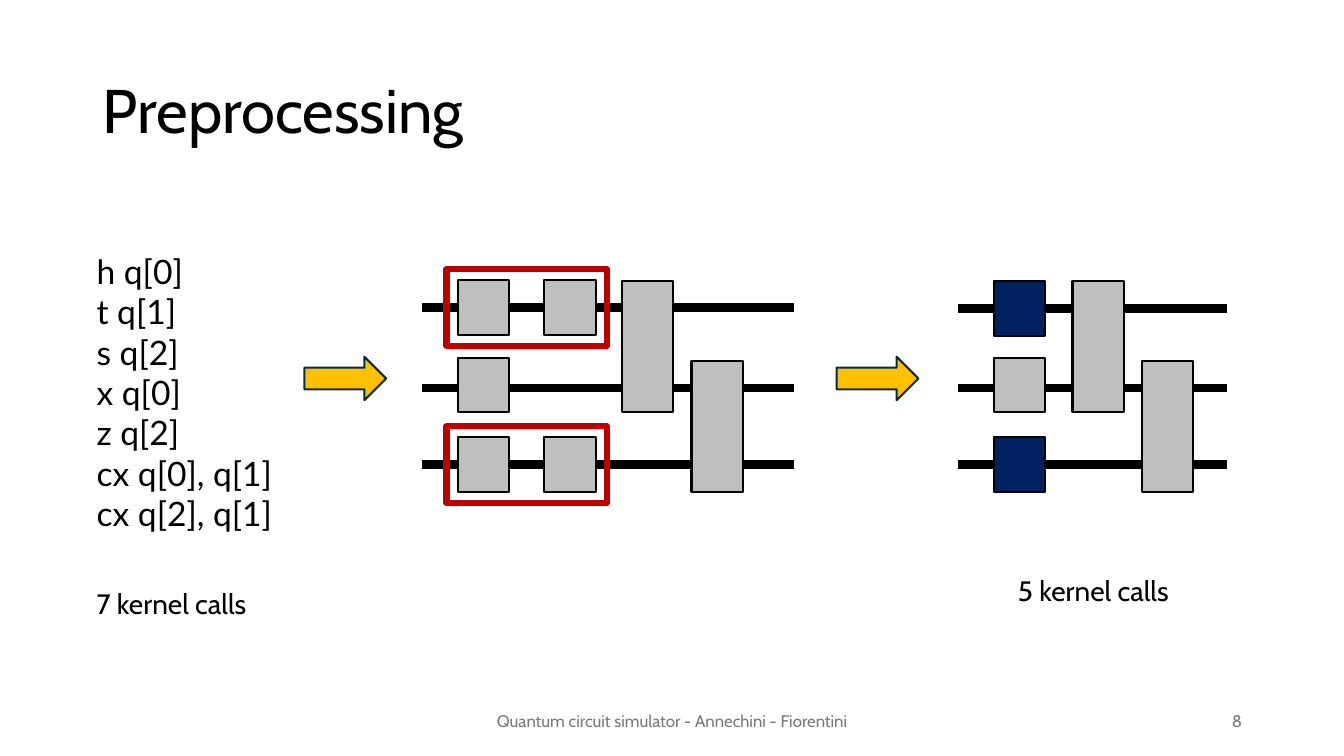
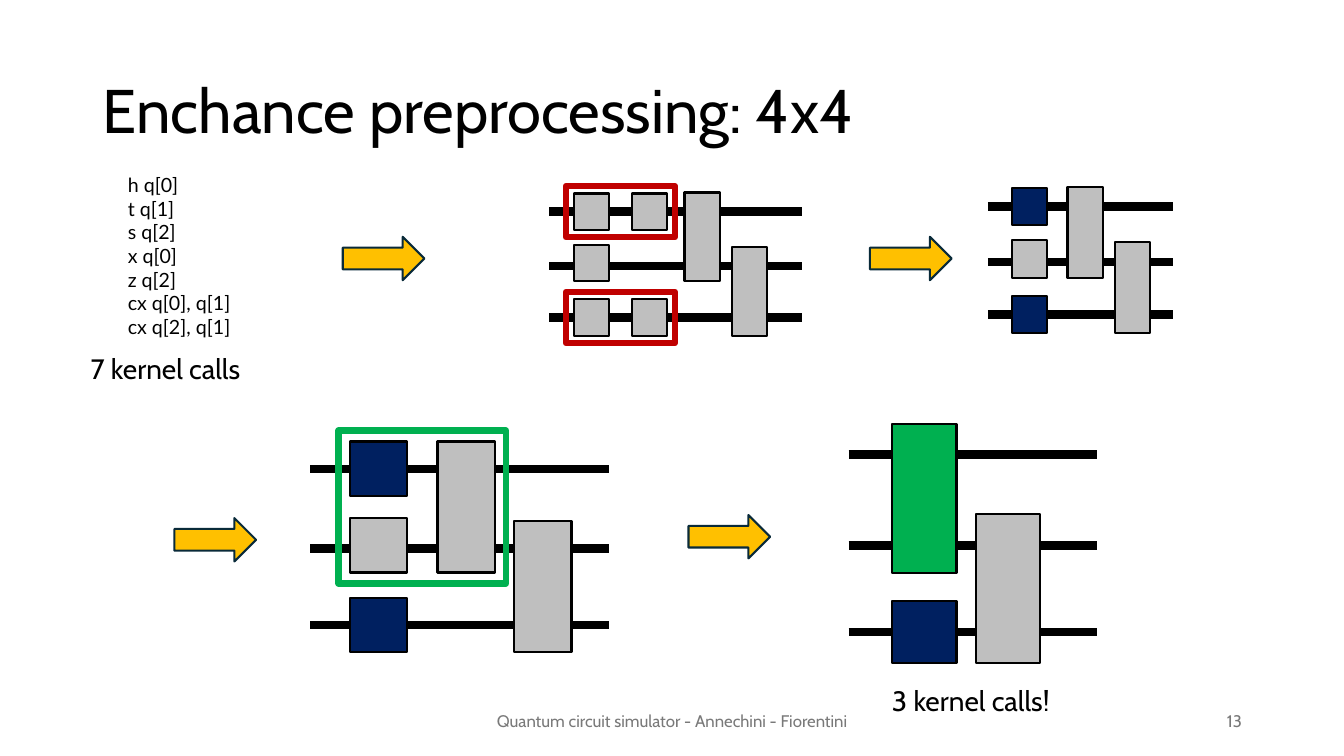
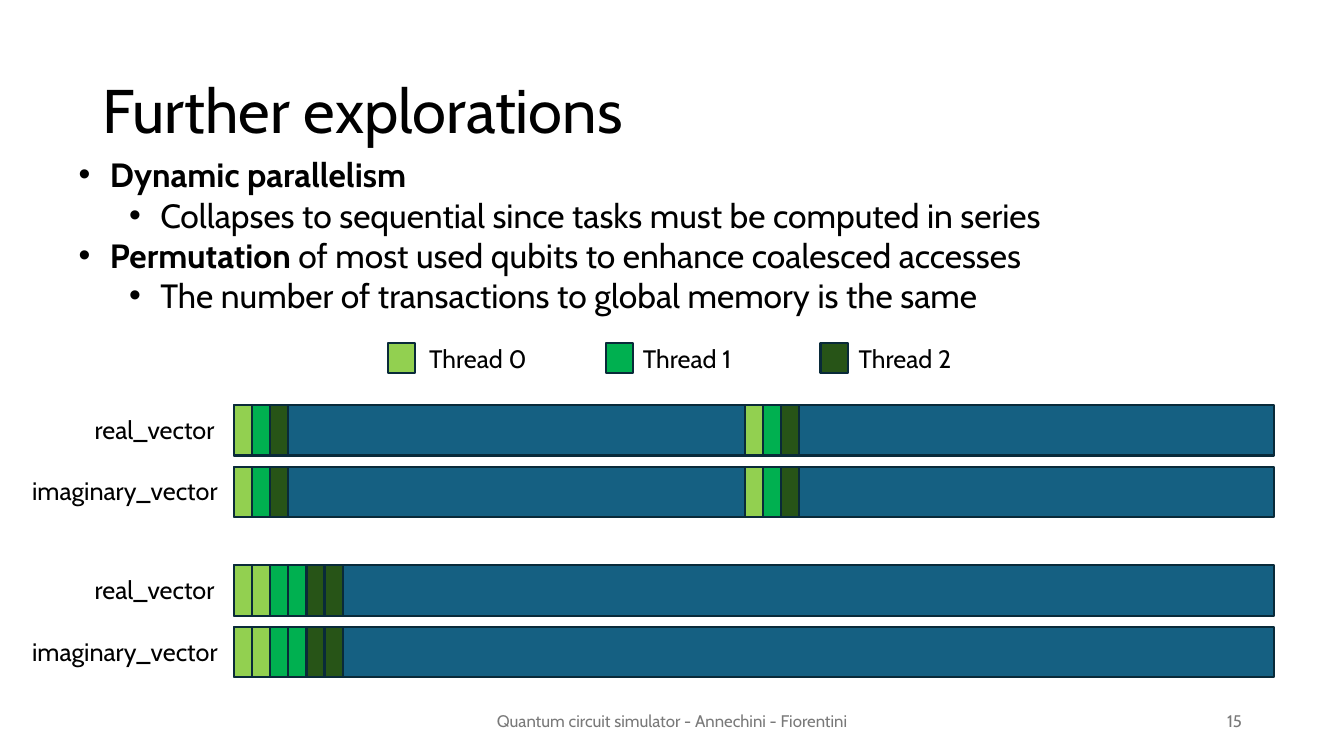
"""Build three slides on preprocessing in a quantum circuit simulator."""
from dataclasses import dataclass
from typing import NamedTuple

from lxml import etree
from pptx import Presentation
from pptx import util as u
from pptx.dml.color import RGBColor
from pptx.enum import shapes, text
from pptx.oxml.ns import qn

CELL = 0.1
COLUMNS, ROWS = 133.33, 75
MIDDLE_LIFT = 0.3
STRIP = 1.8
BAR_LEFT, BAR_WIDTH, BAR_HEIGHT = 23.2, 103.2, 5

COLOURS = {
    "text": "000000",
    "footer": "797979",
    "gate": "BFBFBF",
    "fused": "002060",
    "merged": "00B050",
    "frame": "C00000",
    "arrow": "FFC000",
    "outline": "092A39",
    "vector": "156082",
    "thread 0": "92D050",
    "thread 1": "00B050",
    "thread 2": "275417",
}
THREADS = ["thread 0", "thread 1", "thread 2"]
FOOTER = "Quantum circuit simulator - Annechini - Fiorentini"
PROGRAM = ["h q[0]", "t q[1]", "s q[2]", "x q[0]", "z q[2]", "cx q[0], q[1]", "cx q[2], q[1]"]


class Box(NamedTuple):
    """A rectangle in grid columns and rows."""

    left: float
    top: float
    width: float
    height: float


class Gate(NamedTuple):
    """A gate in a circuit column, covering the wires first to last."""

    column: int
    first: int
    last: int
    colour: str = "gate"


class Frame(NamedTuple):
    """An outline around whole circuit columns and wires."""

    first_column: int
    last_column: int
    first: int
    last: int
    colour: str = "frame"


@dataclass(frozen=True)
class Circuit:
    """Three wires with gates placed on columns."""

    left: float
    right: float
    wires: tuple[float, ...]
    columns: tuple[float, ...]
    gate_width: float
    gate_height: float
    tall_height: float
    gates: list[Gate]
    frames: list[Frame]
    margin: float = 1.1

    def bottom(self, wire: int) -> float:
        """Return the lower edge of a gate that ends on a wire."""
        return self.wires[wire] + self.gate_height / 2 - (MIDDLE_LIFT if wire == 1 else 0)

    def gate_box(self, gate: Gate) -> Box:
        """Return the rectangle of a gate."""
        height = self.gate_height if gate.first == gate.last else self.tall_height
        return Box(self.columns[gate.column], self.bottom(gate.last) - height, self.gate_width, height)

    def frame_box(self, frame: Frame) -> Box:
        """Return the rectangle of a frame."""
        left = self.columns[frame.first_column] - self.margin
        right = self.columns[frame.last_column] + self.gate_width + self.margin
        top = self.bottom(frame.first) - self.gate_height - self.margin
        return Box(left, top, right - left, self.bottom(frame.last) + self.margin - top)


class Vector(NamedTuple):
    """A memory bar with thread strips starting at given offsets."""

    name: str
    label_left: float
    label_width: float
    top: float
    offsets: list[float]
    strips: list[str]


TITLE = Box(9.2, 4, 115, 14.5)
NUMBER = Box(94.2, 69.5, 30, 4)
FOOTER_BOX = Box(44.2, 69.5, 45, 4)

PAIRS = [Gate(0, 0, 0), Gate(0, 1, 1), Gate(0, 2, 2), Gate(1, 0, 0),
         Gate(2, 0, 1), Gate(1, 2, 2), Gate(3, 1, 2)]
FUSED = [Gate(0, 0, 0, "fused"), Gate(0, 1, 1), Gate(0, 2, 2, "fused"),
         Gate(1, 0, 1), Gate(2, 1, 2)]
MERGED = [Gate(0, 2, 2, "fused"), Gate(0, 0, 1, "merged"), Gate(1, 1, 2)]
PAIR_FRAMES = [Frame(0, 1, 0, 0), Frame(0, 1, 2, 2)]

PREPROCESSING = [
    Circuit(41.9, 78.8, (30.5, 38.5, 46.1), (45.4, 54, 61.7, 68.6), 5.1, 5.4, 13, PAIRS, PAIR_FRAMES),
    Circuit(95, 121.7, (30.6, 38.5, 46.1), (98.6, 106.4, 113.3), 5.1, 5.4, 13, FUSED, []),
]
ENHANCED = [
    Circuit(54.5, 79.6, (21, 26.4, 31.5), (56.9, 62.7, 67.9, 72.6), 3.5, 3.6, 8.8, PAIRS, PAIR_FRAMES, 0.75),
    Circuit(98, 116.4, (20.5, 26, 31.2), (100.4, 105.9, 110.6), 3.5, 3.7, 9, FUSED, []),
    Circuit(30.8, 60.4, (46.5, 54.4, 62), (34.7, 43.4, 51), 5.7, 5.4, 13, FUSED,
            [Frame(0, 1, 0, 1, "merged")]),
    Circuit(84.2, 108.8, (45.1, 54.1, 62.7), (88.5, 96.8), 6.4, 6.1, 14.8, MERGED, []),
]
BULLETS = [
    (0, "Dynamic parallelism", ""),
    (1, "", "Collapses to sequential since tasks must be computed in series"),
    (0, "Permutation", " of most used qubits to enhance coalesced accesses"),
    (1, "", "The number of transactions to global memory is the same"),
]
PAIRED_STRIPS = [thread for thread in THREADS for _ in range(2)]
VECTORS = [
    Vector(name, left, width, top + shift, offsets, strips)
    for top, offsets, strips in ((40.2, [0, 50.7], THREADS), (56.1, [0], PAIRED_STRIPS))
    for name, left, width, shift in (("real_vector", 8.4, 14.8, 0), ("imaginary_vector", 2.2, 20.9, 6.1))
]
LEGEND = [(38.5, 41.6), (60.1, 62.8), (81.4, 84.2)]


def cells(count: float) -> int:
    """Convert grid cells to a slide length."""
    return u.Inches(count * CELL)


def emu(box: Box) -> list[int]:
    """Convert a box to slide lengths."""
    return [cells(value) for value in box]


def rgb(name: str) -> RGBColor:
    """Return a palette colour."""
    return RGBColor.from_string(COLOURS[name])


def write(paragraph, words: str, *, size: float = 20, font: str = "Cabin", colour: str = "text",
          bold: bool = False, align=text.PP_ALIGN.LEFT) -> None:
    """Append formatted words to a paragraph."""
    paragraph.alignment = align
    run = paragraph.add_run()
    run.text = words
    run.font.size = u.Pt(size)
    run.font.name = font
    run.font.bold = bold
    run.font.color.rgb = rgb(colour)


def add_text(slide, box: Box, lines: list[str], *, wrap: bool = False,
             anchor=text.MSO_ANCHOR.TOP, **style) -> None:
    """Add a text box with one paragraph for each line."""
    frame = slide.shapes.add_textbox(*emu(box)).text_frame
    frame.word_wrap = wrap
    frame.vertical_anchor = anchor
    for index, line in enumerate(lines):
        paragraph = frame.add_paragraph() if index else frame.paragraphs[0]
        write(paragraph, line, **style)


def add_block(slide, box: Box, *, fill: str | None = None, line: str = "text", weight: float = 1.5,
              kind=shapes.MSO_SHAPE.RECTANGLE) -> None:
    """Add an outlined shape, hollow when it has no fill."""
    shape = slide.shapes.add_shape(kind, *emu(box))
    shape.shadow.inherit = False
    if fill:
        shape.fill.solid()
        shape.fill.fore_color.rgb = rgb(fill)
    else:
        shape.fill.background()
    shape.line.color.rgb = rgb(line)
    shape.line.width = u.Pt(weight)


def add_arrow(slide, left: float, top: float) -> None:
    """Add a step arrow."""
    add_block(slide, Box(left, top, 8.1, 4.3), fill="arrow", line="outline",
              kind=shapes.MSO_SHAPE.RIGHT_ARROW)


def add_circuit(slide, circuit: Circuit) -> None:
    """Draw the wires, gates and frames of a circuit."""
    for wire in circuit.wires:
        connector = slide.shapes.add_connector(
            shapes.MSO_CONNECTOR.STRAIGHT,
            cells(circuit.left), cells(wire), cells(circuit.right), cells(wire))
        connector.line.color.rgb = rgb("text")
        connector.line.width = u.Pt(6)
        etree.SubElement(connector._element.spPr, qn("a:effectLst"))
    for gate in circuit.gates:
        add_block(slide, circuit.gate_box(gate), fill=gate.colour)
    for frame in circuit.frames:
        add_block(slide, circuit.frame_box(frame), line=frame.colour, weight=4.5)


def place(placeholder, box: Box):
    """Move a placeholder and return its text frame."""
    placeholder.left, placeholder.top, placeholder.width, placeholder.height = emu(box)
    placeholder.text_frame.auto_size = text.MSO_AUTO_SIZE.NONE
    placeholder.text_frame.word_wrap = True
    return placeholder.text_frame


def add_slide(presentation, title: str, number: int, layout: int = 5):
    """Add a slide with its title, number and footer."""
    slide = presentation.slides.add_slide(presentation.slide_layouts[layout])
    frame = place(slide.shapes.title, TITLE)
    frame.vertical_anchor = text.MSO_ANCHOR.MIDDLE
    frame.paragraphs[0].line_spacing = 0.9
    write(frame.paragraphs[0], title, size=44)
    for box, words, align in ((NUMBER, str(number), text.PP_ALIGN.RIGHT),
                              (FOOTER_BOX, FOOTER, text.PP_ALIGN.CENTER)):
        add_text(slide, box, [words], wrap=True, anchor=text.MSO_ANCHOR.MIDDLE,
                 size=12, colour="footer", align=align)
    return slide


def add_bullets(placeholder, box: Box) -> None:
    """Fill the body placeholder with the two-level list."""
    frame = place(placeholder, box)
    for index, (level, lead, rest) in enumerate(BULLETS):
        paragraph = frame.add_paragraph() if index else frame.paragraphs[0]
        paragraph.level = level
        paragraph.space_before = u.Pt(0)
        for words, bold in ((lead, True), (rest, False)):
            if words:
                write(paragraph, words, size=24, bold=bold)
        properties = paragraph._p.get_or_add_pPr()
        properties.set("marL", str(cells(3.1 + 5 * level)))
        properties.set("indent", str(cells(-3.1)))
        etree.SubElement(properties, qn("a:buFont"), typeface="Arial")
        etree.SubElement(properties, qn("a:buChar"), char="•")


def add_vector(slide, vector: Vector) -> None:
    """Draw a memory bar with its label and thread strips."""
    add_block(slide, Box(BAR_LEFT, vector.top, BAR_WIDTH, BAR_HEIGHT), fill="vector", line="outline")
    for offset in vector.offsets:
        for index, thread in enumerate(vector.strips):
            left = BAR_LEFT + offset + index * STRIP
            add_block(slide, Box(left, vector.top, STRIP, BAR_HEIGHT), fill=thread, line="outline")
    add_text(slide, Box(vector.label_left, vector.top + 0.4, vector.label_width, 4),
             [vector.name], wrap=True, size=18)


def build_preprocessing(presentation) -> None:
    """Build the slide on fusing one-qubit gates."""
    slide = add_slide(presentation, "Preprocessing", 8)
    add_text(slide, Box(8.6, 24.4, 20.2, 33.3), PROGRAM, size=24, font="Lato")
    for circuit in PREPROCESSING:
        add_circuit(slide, circuit)
    add_text(slide, Box(8.6, 57.7, 17.9, 4.4), ["7 kernel calls"])
    add_text(slide, Box(100, 56.4, 17.9, 4.4), ["5 kernel calls"])
    for left in (30.2, 83):
        add_arrow(slide, left, 35.4)


def build_enhanced(presentation) -> None:
    """Build the slide on merging into two-qubit gates."""
    slide = add_slide(presentation, "Enchance preprocessing: 4x4", 13)
    add_text(slide, Box(11.7, 16.7, 12.6, 19.9), PROGRAM, size=14, font="Lato")
    for circuit in ENHANCED:
        add_circuit(slide, circuit)
    add_text(slide, Box(8, 34.4, 17.9, 4.4), ["7 kernel calls"])
    add_text(slide, Box(87.5, 67.3, 18.7, 4.4), ["3 kernel calls!"])
    for left, top in ((34, 23.5), (86.3, 23.5), (17.3, 51.4), (68.3, 51.1)):
        add_arrow(slide, left, top)


def build_explorations(presentation) -> None:
    """Build the slide on memory access by threads."""
    slide = add_slide(presentation, "Further explorations", 15, layout=1)
    add_bullets(slide.placeholders[1], Box(6.8, 14.8, 118.7, 17.2))
    for vector in VECTORS:
        add_vector(slide, vector)
    for index, (key_left, label_left) in enumerate(LEGEND):
        add_block(slide, Box(key_left, 34, 2.7, 3), fill=THREADS[index], line="outline")
        add_text(slide, Box(label_left, 33.6, 11.8, 4), [f"Thread {index}"], wrap=True, size=18)


def main() -> None:
    """Build and save the presentation."""
    presentation = Presentation()
    presentation.slide_width = cells(COLUMNS)
    presentation.slide_height = cells(ROWS)
    build_preprocessing(presentation)
    build_enhanced(presentation)
    build_explorations(presentation)
    presentation.save("out.pptx")


if __name__ == "__main__":
    main()
